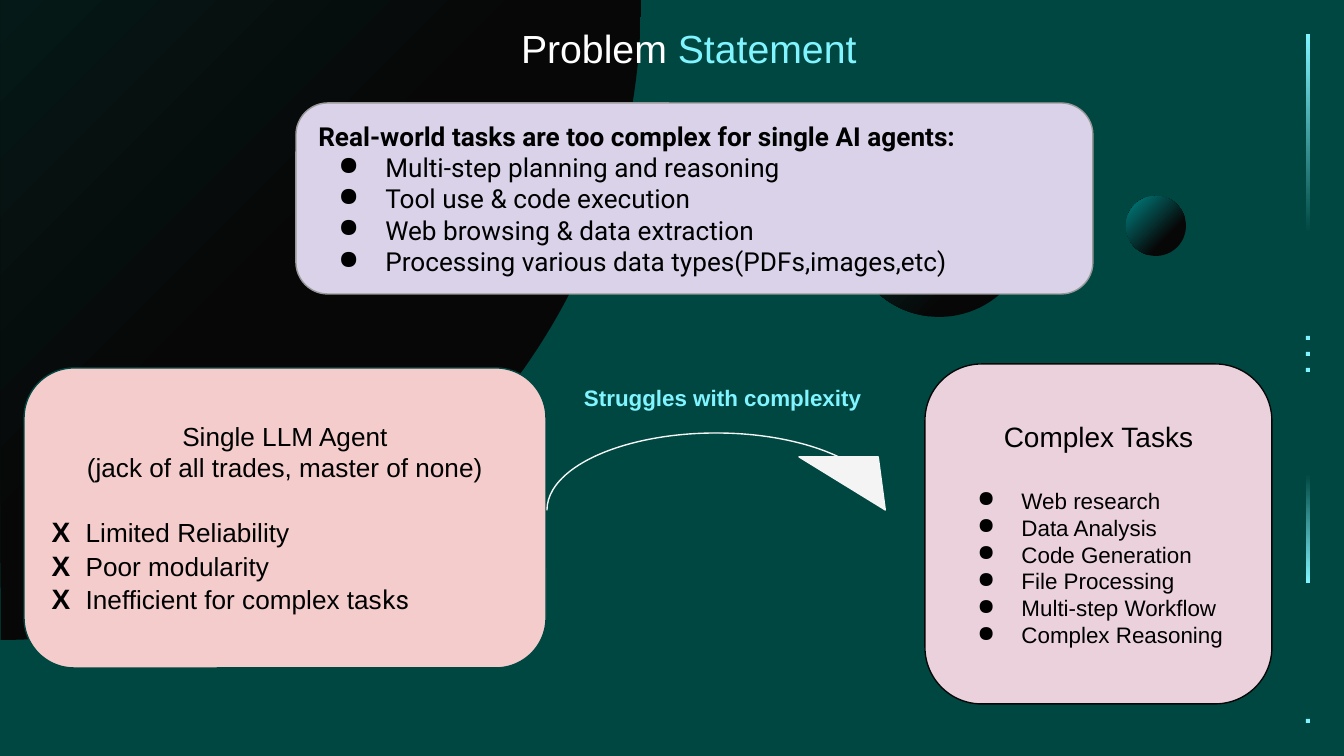
import dataclasses

import lxml.etree
import pptx
import pptx.dml.color
import pptx.enum.shapes
import pptx.enum.text
import pptx.oxml.ns
import pptx.util

SCALE = 914400 / 134.4  # EMU in one px
SHAPE = pptx.enum.shapes.MSO_SHAPE
ALIGN = pptx.enum.text.PP_ALIGN
ANCHOR = pptx.enum.text.MSO_ANCHOR


@dataclasses.dataclass(frozen=True)
class Theme:
    teal: str = "004741"
    bright_teal: str = "008585"
    cyan: str = "81F5FF"
    night: str = "070707"
    white: str = "FFFFFF"
    ink: str = "000000"
    lilac: str = "D9D2E9"
    grey: str = "999999"
    rose: str = "F4CCCC"
    mauve: str = "EAD1DC"
    pale: str = "F4F4F4"
    sans: str = "Arial"
    accent: str = "Roboto"
    title: int = 21
    heading: int = 15
    body: int = 14
    small: int = 12


THEME = Theme()


def px(length):
    return pptx.util.Emu(round(length * SCALE))


def rgb(color):
    return pptx.dml.color.RGBColor.from_string(color)


def add_element(parent, name, **attributes):
    return lxml.etree.SubElement(parent, pptx.oxml.ns.qn(name), attributes)


def set_font(font, size, color=THEME.ink, name=THEME.sans, bold=False):
    font.size = pptx.util.Pt(size)
    font.name = name
    font.bold = bold
    font.color.rgb = rgb(color)


def set_gradient(shape, stops, angle):
    shape.fill.gradient()
    shape.fill.gradient_angle = 360 - angle  # counter-clockwise in python-pptx
    stop_list = shape.element.spPr.find(".//" + pptx.oxml.ns.qn("a:gsLst"))
    for stop in list(stop_list):
        stop_list.remove(stop)
    for position, color in stops:
        stop = add_element(stop_list, "a:gs", pos=str(position * 1000))
        add_element(stop, "a:srgbClr", val=color)


def add_shape(page, kind, box, fill=None, line=None):
    shape = page.shapes.add_shape(kind, *map(px, box))
    shape.shadow.inherit = False
    if fill:
        shape.fill.solid()
        shape.fill.fore_color.rgb = rgb(fill)
    if line:
        shape.line.color.rgb = rgb(line)
        shape.line.width = pptx.util.Pt(0.75)
    else:
        shape.line.fill.background()
    return shape


def set_frame(frame, anchor):
    frame.word_wrap = True
    frame.auto_size = pptx.enum.text.MSO_AUTO_SIZE.NONE
    frame.vertical_anchor = anchor
    frame.margin_left = frame.margin_right = px(13)
    frame.margin_top = frame.margin_bottom = px(13)


def add_card(page, box, fill, line):
    card = add_shape(page, SHAPE.ROUNDED_RECTANGLE, box, fill, line)
    set_frame(card.text_frame, ANCHOR.MIDDLE)
    return card.text_frame


def add_paragraph(frame, text="", align=ALIGN.LEFT):
    first = frame.paragraphs[0]
    para = frame.add_paragraph() if first.runs else first
    para.alignment = align
    if text:
        para.add_run().text = text
    return para


def set_indent(para, margin, hanging):
    properties = para._p.get_or_add_pPr()
    properties.set("marL", str(px(margin)))
    properties.set("indent", str(-px(hanging)))
    return properties


def add_bullets(frame, items, hanging, size, name):
    for item in items:
        para = add_paragraph(frame, item)
        properties = set_indent(para, 67, hanging)
        color = add_element(properties, "a:buClr")
        add_element(color, "a:srgbClr", val=THEME.ink)
        add_element(properties, "a:buChar", char="●")
        set_font(para.font, size, name=name)


def add_backdrop(page, width, height):
    page.background.fill.solid()
    page.background.fill.fore_color.rgb = rgb(THEME.teal)

    # Side rail: two fading bars and four dots
    rail = width - 38
    fade = [(0, THEME.cyan), (100, THEME.teal)]
    for top, length, angle in ((34, 199, 90), (474, 109, 270)):
        bar = add_shape(page, SHAPE.RECTANGLE, (rail, top, 4, length))
        set_gradient(bar, fade, angle)
    for top in (336, 352, 368, height - 37):
        add_shape(page, SHAPE.RECTANGLE, (rail, top, 4, 4), THEME.cyan)

    # Quarter disc in the corner, then two discs
    discs = (
        (SHAPE.PIE, -640, -641, 1281, 28, THEME.teal),
        (SHAPE.OVAL, 1126, 196, 60, 31, THEME.bright_teal),
        (SHAPE.OVAL, 848, 134, 183, 28, THEME.teal),
    )
    for kind, left, top, size, middle, glow in discs:
        disc = add_shape(page, kind, (left, top, size, size))
        stops = [(0, THEME.night), (middle, THEME.night), (100, glow)]
        set_gradient(disc, stops, 225)
        if kind == SHAPE.PIE:
            disc.adjustments[0] = 0
            disc.adjustments[1] = 54  # 90 degrees


def add_title(page, box):
    title = page.shapes.title
    title.left, title.top, title.width, title.height = map(px, box)
    title.element.getparent().append(title.element)  # in front of the backdrop
    set_frame(title.text_frame, ANCHOR.TOP)
    para = add_paragraph(title.text_frame)
    for text, color in (("Problem ", THEME.white), ("Statement", THEME.cyan)):
        span = para.add_run()
        span.text = text
        set_font(span.font, THEME.title, color)


def add_problem_card(page, box):
    frame = add_card(page, box, THEME.lilac, THEME.grey)
    para = add_paragraph(frame, "Real-world tasks are too complex for single AI agents:")
    set_font(para.font, THEME.body, name=THEME.accent, bold=True)
    items = ("Multi-step planning and reasoning", "Tool use & code execution",
             "Web browsing & data extraction",
             "Processing various data types(PDFs,images,etc)")
    add_bullets(frame, items, 47, THEME.body, THEME.accent)


def add_agent_card(page, box):
    frame = add_card(page, box, THEME.rose, THEME.teal)
    for text in ("Single LLM Agent", "(jack of all trades, master of none)"):
        para = add_paragraph(frame, text, ALIGN.CENTER)
        set_font(para.font, THEME.body)
    para.space_after = pptx.util.Pt(17)

    # Weak points, each behind a bold X
    weak_points = (("Limited Reliability",), ("Poor modularity",),
                   ("Inefficient for complex tas", "ks"))
    for parts in weak_points:
        para = add_paragraph(frame)
        set_indent(para, 34, 34)
        mark = para.add_run()
        mark.text = "X\t"
        set_font(mark.font, THEME.heading, bold=True)
        for part, name in zip(parts, (THEME.sans, THEME.accent)):
            span = para.add_run()
            span.text = part
            set_font(span.font, THEME.body, name=name)


def add_struggle_arrow(page, box):
    left, top, width, height = box
    arrow = add_shape(page, SHAPE.CURVED_DOWN_ARROW, box, THEME.pale, THEME.pale)
    for index, value in enumerate((0, 1.03, 0.69)):
        arrow.adjustments[index] = value
    label = page.shapes.add_textbox(px(left + 24), px(top - 62), px(347), px(62))
    set_frame(label.text_frame, ANCHOR.TOP)
    para = add_paragraph(label.text_frame, "Struggles with complexity")
    set_font(para.font, THEME.small, THEME.cyan, bold=True)


def add_tasks_card(page, box):
    frame = add_card(page, box, THEME.mauve, THEME.night)
    para = add_paragraph(frame, "Complex Tasks", ALIGN.CENTER)
    para.space_after = pptx.util.Pt(18)
    set_font(para.font, THEME.heading)
    items = ("Web research", "Data Analysis", "Code Generation", "File Processing",
             "Multi-step Workflow", "Complex Reasoning")
    add_bullets(frame, items, 44, THEME.small, THEME.sans)


def main():
    deck = pptx.Presentation()
    width, height = 1344, 756
    deck.slide_width, deck.slide_height = px(width), px(height)
    page = deck.slides.add_slide(deck.slide_layouts[5])
    add_backdrop(page, width, height)
    add_title(page, (508, 11, 366, 66))
    add_problem_card(page, (296, 103, 797, 191))
    add_agent_card(page, (24, 368, 522, 300))
    add_struggle_arrow(page, (547, 433, 378, 77))
    add_tasks_card(page, (925, 364, 347, 340))
    deck.save("out.pptx")


if __name__ == "__main__":
    main()
